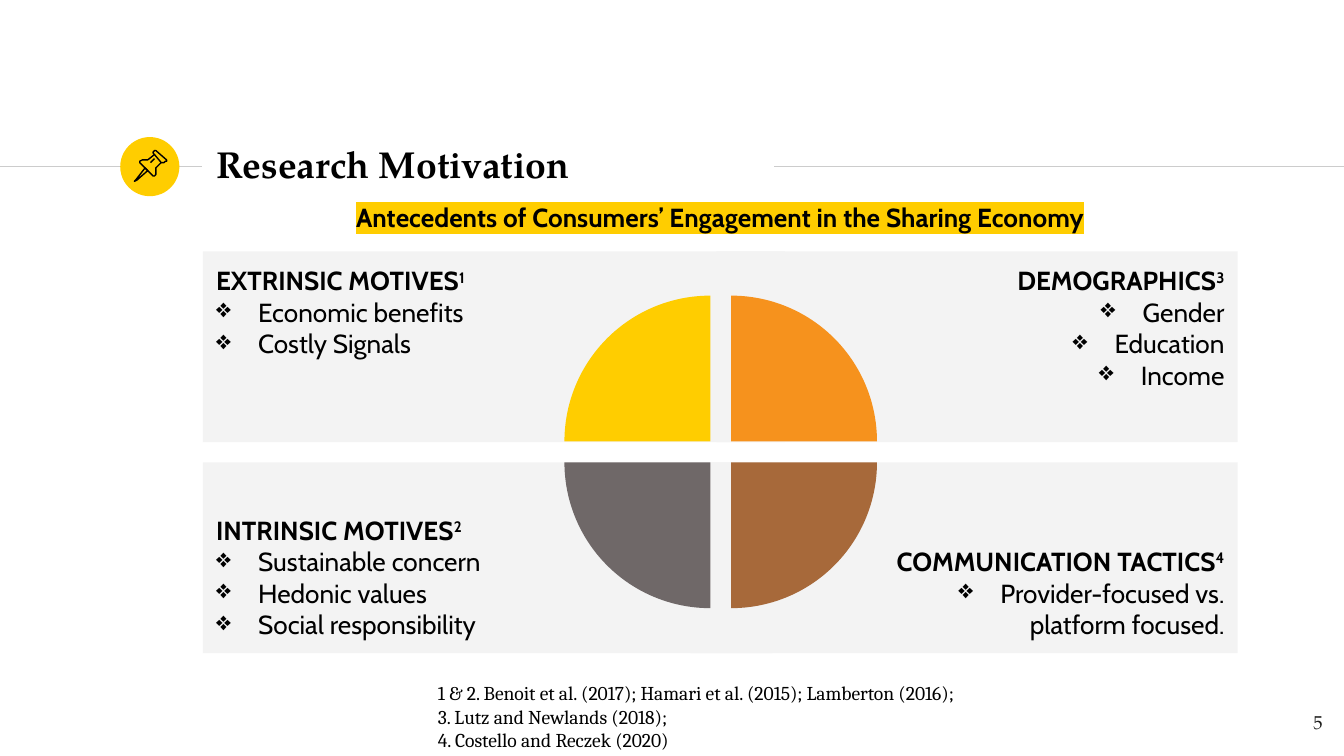
from lxml.etree import SubElement
from pptx import Presentation
from pptx.dml.color import RGBColor
from pptx.enum.shapes import MSO_CONNECTOR, MSO_SHAPE
from pptx.enum.text import MSO_ANCHOR, MSO_AUTO_SIZE, PP_ALIGN
from pptx.oxml.ns import qn
from pptx.util import Inches, Pt

CELL = Inches(0.1)
COLORS = {
    "yellow": "FFCD00", "orange": "F6921D", "brown": "A7693A", "grey": "6F6868",
    "panel": "F3F3F3", "rule": "CCCCCC", "black": "000000", "ink": "1D1D1B",
}
LEFT, RIGHT, CENTER = PP_ALIGN.LEFT, PP_ALIGN.RIGHT, PP_ALIGN.CENTER
TOP, MIDDLE, BOTTOM = MSO_ANCHOR.TOP, MSO_ANCHOR.MIDDLE, MSO_ANCHOR.BOTTOM
QUADRANTS = [
    ((15.1, 18.7, 43.3, 14.2), LEFT, TOP, "EXTRINSIC MOTIVES", "1",
     ["Economic benefits", "Costly Signals"]),
    ((53.3, 18.7, 38.8, 14.2), RIGHT, TOP, "DEMOGRAPHICS", "3",
     ["Gender", "Education", "Income"]),
    ((15.1, 34.4, 42.4, 14.2), LEFT, BOTTOM, "INTRINSIC MOTIVES", "2",
     ["Sustainable concern", "Hedonic values", "Social responsibility"]),
    ((51.4, 34.4, 40.7, 14.2), RIGHT, BOTTOM, "COMMUNICATION TACTICS", "4",
     ["Provider-focused vs. platform focused."]),
]
PIES = [(42, 22, "yellow"), (43.55, 22, "orange"), (43.55, 23.55, "brown"), (42, 23.55, "grey")]
REFERENCES = [
    "1 & 2. Benoit et al. (2017); Hamari et al. (2015); Lamberton (2016);",
    "3. Lutz and Newlands (2018);",
    "4. Costello and Reczek (2020)",
]
PIN = [
    ([(10.8, 12.5), (10.1, 13.4), (10, 13.5), (10.2, 13.4), (11, 12.7)], True),
    ([(11.5, 11.5), (12, 12.1), (12.2, 12.1), (12.3, 12), (12.4, 12), (12.4, 11.9),
      (11.6, 11.2), (11.5, 11.2), (11.4, 11.3), (11.4, 11.4)], True),
    ([(11.5, 11.5), (11, 11.9), (10.8, 11.9), (10.6, 11.9), (10.4, 12), (10.4, 12.1),
      (11.4, 13.1), (11.5, 13.1), (11.6, 13), (11.6, 12.8), (11.6, 12.5), (12, 12.1)], False),
    ([(11.2, 12.1), (11.5, 11.8)], False),
]


def rgb(name):
    """Return the named colour."""
    return RGBColor.from_string(COLORS[name])


def cells(*values):
    """Turn grid cells into lengths."""
    return [round(v * CELL) for v in values]


def add_run(p, text, font="Cabin", size=14, color="black", bold=False, sup=False, mark=None):
    """Add formatted text to a paragraph."""
    r = p.add_run()
    r.text = text
    f = r.font
    f.name, f.size, f.bold = font, Pt(size), bold
    f.color.rgb = rgb(color)
    props = f._element
    if sup:
        props.set("baseline", "30000")
    if mark:
        highlight = SubElement(props, qn("a:highlight"))
        SubElement(highlight, qn("a:srgbClr"), val=COLORS[mark])
        props.find(qn("a:solidFill")).addnext(highlight)


def add_bullet(p):
    """Give a paragraph a diamond bullet with a hanging indent."""
    props = p._p.get_or_add_pPr()
    props.set("marL", str(Pt(22.5)))
    props.set("indent", str(-Pt(22.5)))
    color = SubElement(props, qn("a:buClr"))
    SubElement(color, qn("a:srgbClr"), val=COLORS["black"])
    SubElement(props, qn("a:buChar"), char="❖")


def set_frame(tf, insets=(1, 1, 1, 1), anchor=TOP):
    """Set wrapping, insets and anchor of a text frame."""
    tf.word_wrap = True
    tf.auto_size = MSO_AUTO_SIZE.NONE
    tf.vertical_anchor = anchor
    tf.margin_left, tf.margin_top, tf.margin_right, tf.margin_bottom = cells(*insets)


def add_text(slide, box, lines, align=LEFT, insets=(1, 0.5, 1, 0.5), before=0, **fmt):
    """Add a text box with one paragraph per line."""
    tf = slide.shapes.add_textbox(*cells(*box)).text_frame
    set_frame(tf, insets)
    for i, line in enumerate(lines):
        p = tf.add_paragraph() if i else tf.paragraphs[0]
        p.alignment, p.space_before = align, Pt(before)
        add_run(p, line, **fmt)


def add_filled(slide, kind, box, color):
    """Add a flat preset shape without outline."""
    sp = slide.shapes.add_shape(kind, *cells(*box))
    sp.shadow.inherit = False
    sp.fill.solid()
    sp.fill.fore_color.rgb = rgb(color)
    sp.line.fill.background()
    return sp


def add_rule(slide, start, end, row):
    """Add a thin horizontal line."""
    line = slide.shapes.add_connector(MSO_CONNECTOR.STRAIGHT, *cells(start, row, end, row))
    line.line.color.rgb = rgb("rule")
    line.line.width = Pt(0.75)
    SubElement(line._element.spPr, qn("a:effectLst"))


def add_quadrant(slide, box, align, anchor, heading, note, items):
    """Add a panel with a heading, its note number and bullets."""
    tf = add_filled(slide, MSO_SHAPE.RECTANGLE, box, "panel").text_frame
    set_frame(tf, (1, 1, 15, 1) if align == LEFT else (15, 1, 1, 1), anchor)
    p = tf.paragraphs[0]
    p.alignment = align
    add_run(p, heading, bold=True)
    add_run(p, note, bold=True, sup=True)
    for item in items:
        p = tf.add_paragraph()
        p.alignment = align
        add_bullet(p)
        add_run(p, item)


def add_outline(slide, points, closed):
    """Add an unfilled black outline."""
    start, *rest = [cells(x, y) for x, y in points]
    builder = slide.shapes.build_freeform(*start)
    builder.add_line_segments(rest, close=closed)
    sp = builder.convert_to_shape()
    sp.shadow.inherit = False
    sp.fill.background()
    sp.line.color.rgb = rgb("black")
    sp.line.width = Pt(0.75)


def set_title(slide, text):
    """Place and format the title."""
    title = slide.shapes.title
    title.left, title.top, title.width, title.height = cells(15.1, 9.8, 42.4, 4.8)
    set_frame(title.text_frame, anchor=MIDDLE)
    p = title.text_frame.paragraphs[0]
    p.alignment = LEFT
    add_run(p, text, font="TeX Gyre Pagella", size=20, bold=True)


def main():
    """Build the slide."""
    prs = Presentation()
    prs.slide_width = Inches(10)
    prs.slide_height = prs.slide_width * 9 // 16
    slide = prs.slides.add_slide(prs.slide_layouts[5])
    set_title(slide, "Research Motivation")
    add_rule(slide, 0, 15, 12.4)
    add_rule(slide, 57.6, 100, 12.4)
    add_filled(slide, MSO_SHAPE.OVAL, (8.95, 10.2, 4.4, 4.4), "yellow")
    for quadrant in QUADRANTS:
        add_quadrant(slide, *quadrant)
    for i, (left, top, color) in enumerate(PIES):
        pie = add_filled(slide, MSO_SHAPE.PIE, (left, top, 21.7, 21.7), color)
        pie.adjustments[0], pie.adjustments[1] = 108, 162
        pie.rotation = 90 * i
    for points, closed in PIN:
        add_outline(slide, points, closed)
    add_text(slide, (15.1, 14.5, 77, 3.4),
             ["Antecedents of Consumers’ Engagement in the Sharing Economy"],
             align=CENTER, before=6, bold=True, mark="yellow")
    add_text(slide, (31.6, 50.2, 43.3, 6.3), REFERENCES, font="Cambria", size=10.5)
    add_text(slide, (93.4, 51.9, 6, 4.3), ["5"], align=RIGHT, insets=(1, 1, 1, 1),
             font="TeX Gyre Pagella", size=10, color="ink")
    prs.save("out.pptx")


if __name__ == "__main__":
    main()
